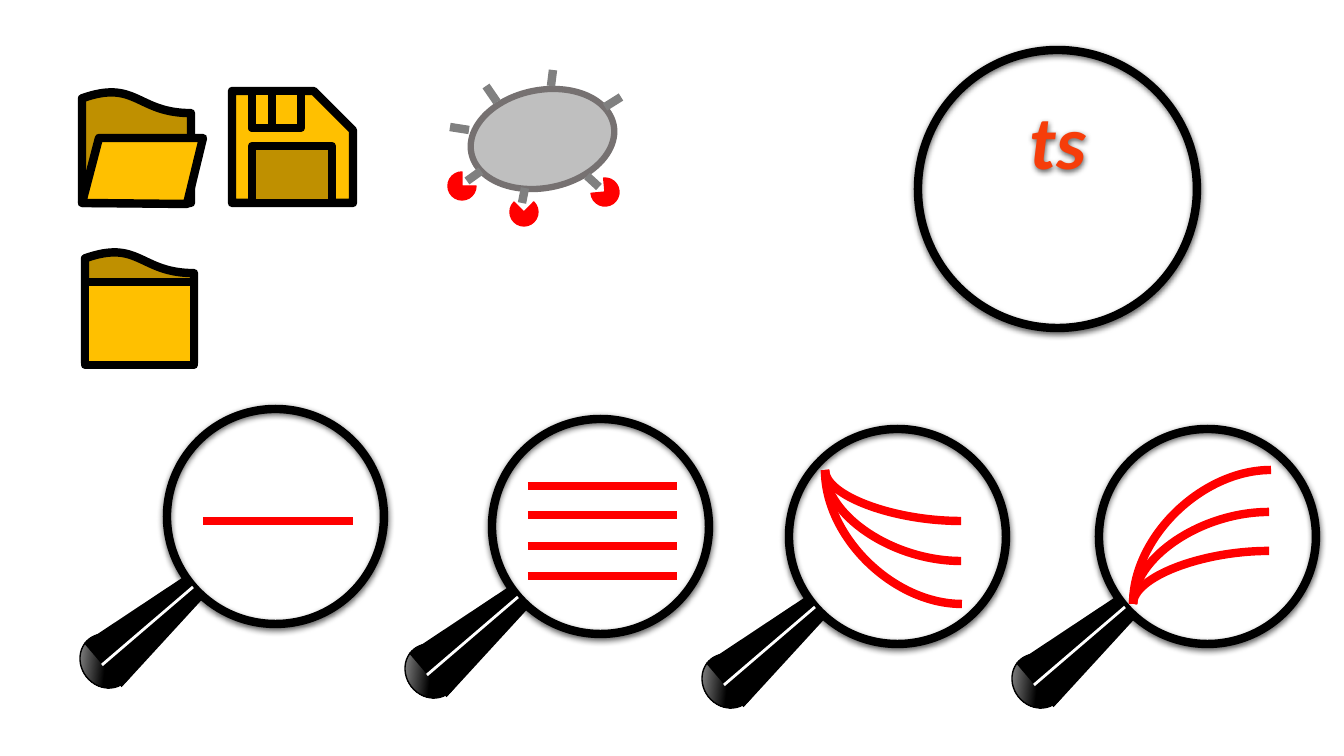
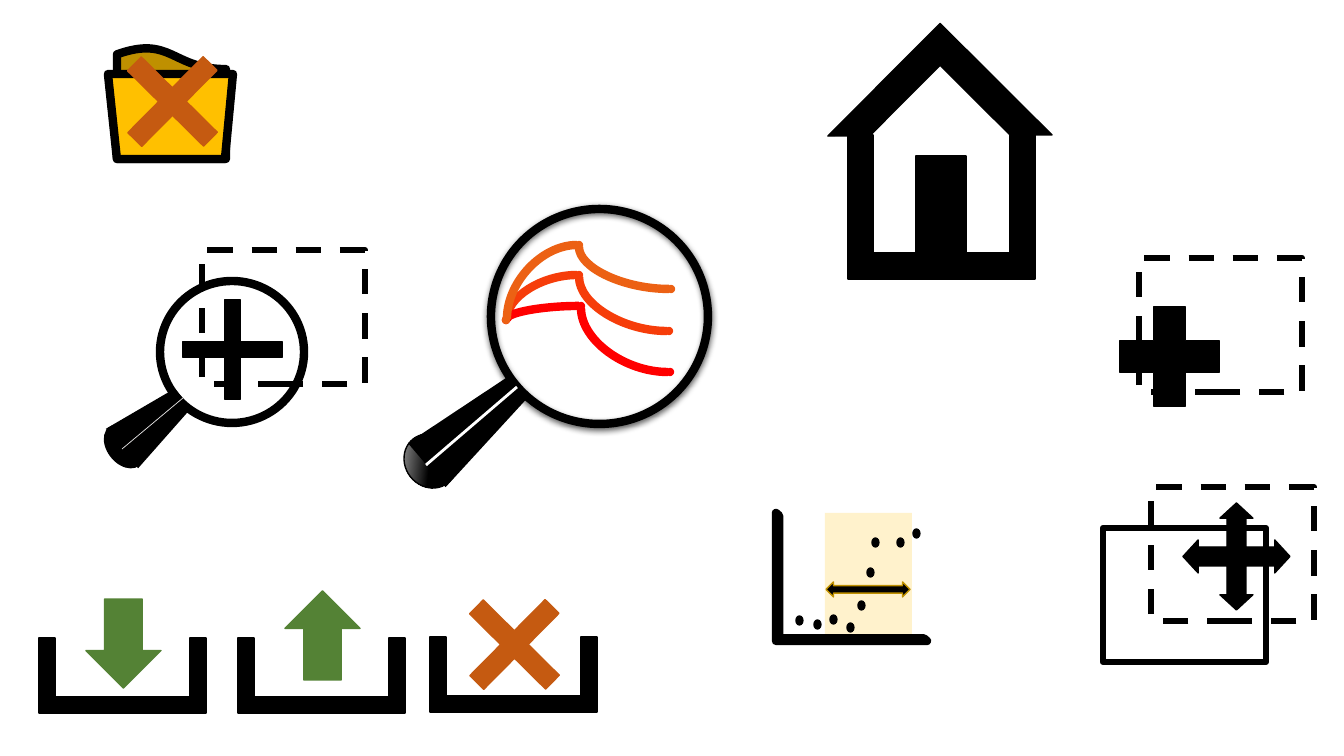
from copy import deepcopy

from lxml.etree import SubElement
from pptx import Presentation
from pptx.dml.color import RGBColor
from pptx.enum.dml import MSO_LINE
from pptx.enum.shapes import MSO_CONNECTOR, MSO_SHAPE
from pptx.enum.text import MSO_AUTO_SIZE, PP_ALIGN
from pptx.oxml.ns import qn
from pptx.util import Emu, Pt

PX = 914400 / 100.8
COLORS = {
    "black": "000000", "white": "FFFFFF", "silver": "BFBFBF", "pale": "E7E6E6",
    "shell": "767171", "leg": "808080", "red": "FF0000", "flame": "F63D0A",
    "orange": "EC6114", "blue": "5B9BD5", "gold": "FFC000", "brown": "BF9000",
    "cream": "FFF2CC", "green": "548235", "rust": "C55A11",
}
CORNER = (0.223, 0.212)
CROSS = (0.399, 0.091, 0)
HANDLE_TURN = 321.8


def px(length):
    """Turn pixels into EMU."""
    return Emu(round(length * PX))


def color(name):
    """Look up a named colour."""
    return RGBColor.from_string(COLORS[name])


def new_icon(slide):
    """Start a group and return its shape collection."""
    return slide.shapes.add_group_shape().shapes


def paint(shape, fill, edge, weight):
    """Set fill and outline, and remove the shadow."""
    shape.shadow.inherit = False
    if fill:
        shape.fill.solid()
        shape.fill.fore_color.rgb = color(fill)
    else:
        shape.fill.background()
    if edge:
        shape.line.color.rgb = color(edge)
        shape.line.width = Pt(weight)
    else:
        shape.line.fill.background()


def draw(icon, kind, box, fill=None, edge=None, weight=1, turn=0, adjust=(), flip=None):
    """Add a preset shape; flip is 'flipH' or 'flipV'."""
    shape = icon.add_shape(kind, *map(px, box))
    paint(shape, fill, edge, weight)
    shape.rotation = turn
    for index, value in enumerate(adjust):
        shape.adjustments[index] = value
    if flip:
        shape._element.spPr.find(qn("a:xfrm")).set(flip, "1")
    return shape


def outline(icon, points, fill):
    """Add a closed polygon with the heavy black edge."""
    builder = icon.build_freeform(*points[0], scale=PX)
    builder.add_line_segments(points[1:], close=True)
    paint(builder.convert_to_shape(), fill, "black", 6)


def stroke(icon, start, end, ink, weight=6, kind=MSO_CONNECTOR.STRAIGHT):
    """Add a connector without shadow."""
    line = icon.add_connector(kind, *map(px, (*start, *end)))
    line.line.color.rgb = color(ink)
    line.line.width = Pt(weight)
    SubElement(line._element.spPr, qn("a:effectLst"))
    return line


def curve(icon, start, end, ink):
    """Add a quarter curve that leaves vertically and arrives horizontally."""
    (x1, y1), (x2, y2) = start, end
    mid_x, mid_y = (x1 + x2) / 2, (y1 + y2) / 2
    half_w, half_h = abs(y2 - y1) / 2, (x2 - x1) / 2
    rising = y2 < y1
    if rising:
        half_h = -half_h
    arc = stroke(icon, (mid_x + half_w, mid_y - half_h),
                 (mid_x - half_w, mid_y + half_h), ink, kind=MSO_CONNECTOR.CURVE)
    properties = arc._element.spPr
    properties.find(qn("a:prstGeom")).set("prst", "curvedConnector2")
    properties.find(qn("a:xfrm")).set("rot", str((90 if rising else 270) * 60000))


def cast_shadow(shape):
    """Give a shape a soft shadow straight below it."""
    effects = shape._element.spPr.find(qn("a:effectLst"))
    shadow = SubElement(effects, qn("a:outerShdw"), blurRad=str(Pt(4.5)),
                        dist=str(Pt(1.5)), dir="5400000", algn="ctr", rotWithShape="0")
    black = SubElement(shadow, qn("a:srgbClr"), val=COLORS["black"])
    SubElement(black, qn("a:alpha"), val="63000")


def shade_knob(knob):
    """Fill the end of the handle from silver to black."""
    knob.fill.gradient()
    knob.fill.gradient_angle = 315
    stop_list = knob._element.spPr.find(".//" + qn("a:gsLst"))
    stop_list.append(deepcopy(stop_list[-1]))
    ramp = ((0, "silver"), (0.5, "black"), (1, "black"))
    for stop, (position, ink) in zip(knob.fill.gradient_stops, ramp):
        stop.position = position
        stop.color.rgb = color(ink)


def lens(icon, box):
    """Add a shadowed ring."""
    cast_shadow(draw(icon, MSO_SHAPE.OVAL, box, edge="black", weight=6))


def magnifier(icon, left, top):
    """Add a magnifying glass whose ring starts at left, top."""
    lens(icon, (left, top, 217, 215))
    knob = draw(icon, MSO_SHAPE.OVAL, (left - 86, top + 224, 51, 56),
                edge="black", turn=HANDLE_TURN)
    shade_knob(knob)
    draw(icon, MSO_SHAPE.TRAPEZOID, (left - 48, top + 158, 58, 119), "black", turn=49.5)
    stroke(icon, (left - 65, top + 256), (left + 26, top + 178), "white", 2)


def folder_back(icon, left, top):
    """Add the wavy back of a folder."""
    draw(icon, MSO_SHAPE.FLOWCHART_DOCUMENT, (left, top, 109, 112),
         "brown", "black", 6, flip="flipV")


def tray(icon, left, top, width=105, height=75, shift=62):
    """Add two mirrored corners that form an open box."""
    for x, flip in ((left, None), (left + shift, "flipH")):
        draw(icon, MSO_SHAPE.CORNER, (x, top, width, height), "black", "black",
             adjust=CORNER, flip=flip)


def cross(icon, left, top):
    """Add a rust delete cross."""
    draw(icon, MSO_SHAPE.QUAD_ARROW, (left, top, 107, 107), "rust", "rust",
         turn=314.7, adjust=CROSS)


def frame(icon, left, top, dashed=True):
    """Add a selection frame."""
    area = draw(icon, MSO_SHAPE.RECTANGLE, (left, top, 163, 134), edge="black", weight=4.5)
    if dashed:
        area.line.dash_style = MSO_LINE.DASH


def bug(icon):
    """Draw the bug with legs and feet."""
    draw(icon, MSO_SHAPE.OVAL, (470, 90, 145, 98), "silver", "shell", 4.5, turn=348.9)
    for x, y, turn in ((448, 172, 0), (510, 198, 314.5), (591, 178, 264.6)):
        draw(icon, MSO_SHAPE.PIE, (x, y, 28, 28), "red", "red", turn=turn)
    legs = (((525, 188), (522, 203)), ((587, 176), (599, 187)), ((481, 171), (467, 181)),
            ((469, 130), (450, 127)), ((553, 70), (551, 86)), ((621, 97), (605, 107)),
            ((486, 86), (497, 102)))
    for hip, foot in legs:
        stroke(icon, hip, foot, "leg")


def floppy(icon):
    """Draw the save icon."""
    draw(icon, MSO_SHAPE.SNIP_1_RECTANGLE, (232, 91, 121, 112), "gold", "black", 6,
         adjust=(0.351,))
    for box, fill in (((252, 91, 49, 37), "gold"), ((252, 91, 20, 37), "gold"),
                      ((252, 146, 80, 57), "brown")):
        draw(icon, MSO_SHAPE.RECTANGLE, box, fill, "black", 6)


def time_series(icon):
    """Draw the lettered lens."""
    label = icon.add_textbox(*map(px, (951, 89, 214, 194)))
    label.shadow.inherit = False
    cast_shadow(label)
    label.text_frame.word_wrap = False
    label.text_frame.auto_size = MSO_AUTO_SIZE.SHAPE_TO_FIT_TEXT
    paragraph = label.text_frame.paragraphs[0]
    paragraph.alignment = PP_ALIGN.CENTER
    run = paragraph.add_run()
    run.text = "ts"
    run.font.name, run.font.size = "Calibri", Pt(54)
    run.font.bold = run.font.italic = True
    run.font.color.rgb = color("flame")
    run.font._element.set("spc", "50")
    lens(icon, (918, 50, 279, 278))


def waves(icon):
    """Draw three rising and falling curves with round ends."""
    for ink, peak, tail in (("flame", (577, 273), (667, 329)),
                            ("red", (579, 304), (668, 370)),
                            ("orange", (577, 243), (669, 287))):
        for dot in (peak, (504, 318), tail):
            draw(icon, MSO_SHAPE.OVAL, (*dot, 4, 4), "blue", ink, 3)
        x, y = peak
        curve(icon, (507, 319), (x, y + 2), ink)
        curve(icon, (x + 2, y + 4), (tail[0], tail[1] + 2), ink)


def zoom_in(icon):
    """Draw the plain magnifier with a plus and a frame."""
    draw(icon, MSO_SHAPE.OVAL, (107, 422, 34, 49), "black", turn=HANDLE_TURN)
    draw(icon, MSO_SHAPE.OVAL, (160, 281, 144, 142), edge="black", weight=6)
    draw(icon, MSO_SHAPE.TRAPEZOID, (127, 384, 51, 79), "black", turn=50.6)
    stroke(icon, (122, 449), (183, 398), "pale", 0.5)
    draw(icon, MSO_SHAPE.CROSS, (183, 300, 99, 99), "black", "black", adjust=(0.417,))
    frame(icon, 202, 250)


def house(icon):
    """Draw the home icon."""
    tray(icon, 848, 135, 118, 144, 69)
    draw(icon, MSO_SHAPE.HALF_FRAME, (861, 56, 158, 159), "black", "black",
         turn=44.9, adjust=(0.188, 0.187))
    draw(icon, MSO_SHAPE.RECTANGLE, (916, 156, 50, 106), "black", "black")


def scatter(icon):
    """Draw the scatter icon with a marked range."""
    draw(icon, MSO_SHAPE.RECTANGLE, (825, 513, 87, 127), "cream")
    draw(icon, MSO_SHAPE.HALF_FRAME, (776, 513, 151, 128), "gold", "black", 6,
         adjust=(0.02, 0.024), flip="flipV")
    for dot in ((830, 615), (847, 623), (858, 601), (867, 568), (872, 538),
                (897, 538), (814, 620), (796, 616), (913, 529)):
        draw(icon, MSO_SHAPE.OVAL, (*dot, 7, 9), "black", "black")
    draw(icon, MSO_SHAPE.LEFT_RIGHT_ARROW, (826, 582, 84, 15), "black", "brown")


def build_file_icons(slide):
    """Fill the slide with file, bug and line-search icons."""
    bug(new_icon(slide))
    open_folder = new_icon(slide)
    folder_back(open_folder, 82, 91)
    outline(open_folder, ((82, 203), (99, 138), (203, 138), (187, 204)), "gold")
    floppy(new_icon(slide))

    for left, top, right, heights in ((167, 409, 353, (521,)),
                                      (492, 419, 677, (486, 515, 546, 576))):
        search = new_icon(slide)
        magnifier(search, left, top)
        for y in heights:
            stroke(search, (left + 36, y), (right, y), "red")
    for left, start, ends in (
            (789, (825, 470), ((961, 561), (962, 604), (961, 521))),
            (1099, (1133, 604), ((1269, 512), (1271, 470), (1269, 551)))):
        search = new_icon(slide)
        magnifier(search, left, 429)
        for end in ends:
            curve(search, start, end, "red")

    time_series(new_icon(slide))
    closed_folder = new_icon(slide)
    folder_back(closed_folder, 85, 251)
    draw(closed_folder, MSO_SHAPE.RECTANGLE, (85, 282, 109, 83), "gold", "black", 6)


def build_view_icons(slide):
    """Fill the slide with tray, zoom, home and plot icons."""
    wave_search = new_icon(slide)
    waves(wave_search)
    magnifier(wave_search, 491, 209)

    download, discard, upload = (new_icon(slide) for _ in range(3))
    tray(download, 39, 638)
    draw(download, MSO_SHAPE.DOWN_ARROW, (86, 599, 75, 89), "green", "green")
    tray(discard, 430, 637)
    cross(discard, 461, 591)
    tray(upload, 238, 638)
    draw(upload, MSO_SHAPE.DOWN_ARROW, (285, 591, 75, 89), "green", "green", flip="flipV")

    remove_folder = new_icon(slide)
    folder_back(remove_folder, 117, 47)
    outline(remove_folder, ((117, 159), (108, 74), (233, 74), (225, 159)), "gold")
    cross(remove_folder, 119, 48)

    zoom_in(new_icon(slide))
    pan = new_icon(slide)
    frame(pan, 1151, 487)
    frame(pan, 1103, 528, dashed=False)
    draw(pan, MSO_SHAPE.QUAD_ARROW, (1183, 503, 107, 107), "black", "black",
         adjust=(0.177, 0.154, 0.142))
    house(new_icon(slide))
    add_area = new_icon(slide)
    draw(add_area, MSO_SHAPE.CROSS, (1120, 307, 99, 99), "black", "black", adjust=(0.34,))
    frame(add_area, 1139, 258)
    scatter(new_icon(slide))


def main():
    """Build and save the icon sheets."""
    deck = Presentation()
    deck.slide_width, deck.slide_height = px(1344), px(756)
    blank = deck.slide_layouts[6]
    for build in (build_file_icons, build_view_icons):
        build(deck.slides.add_slide(blank))
    deck.save("out.pptx")


main()
